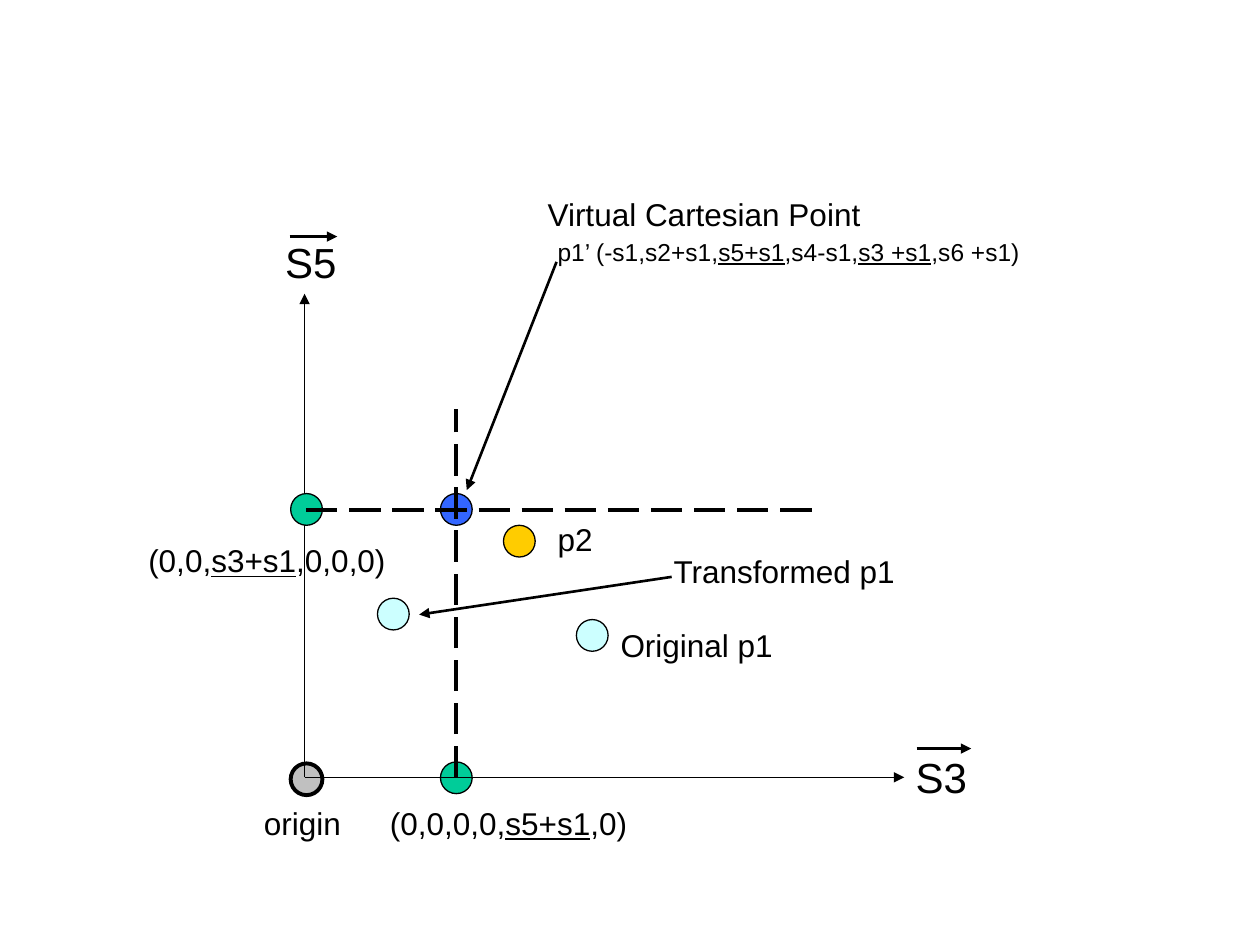
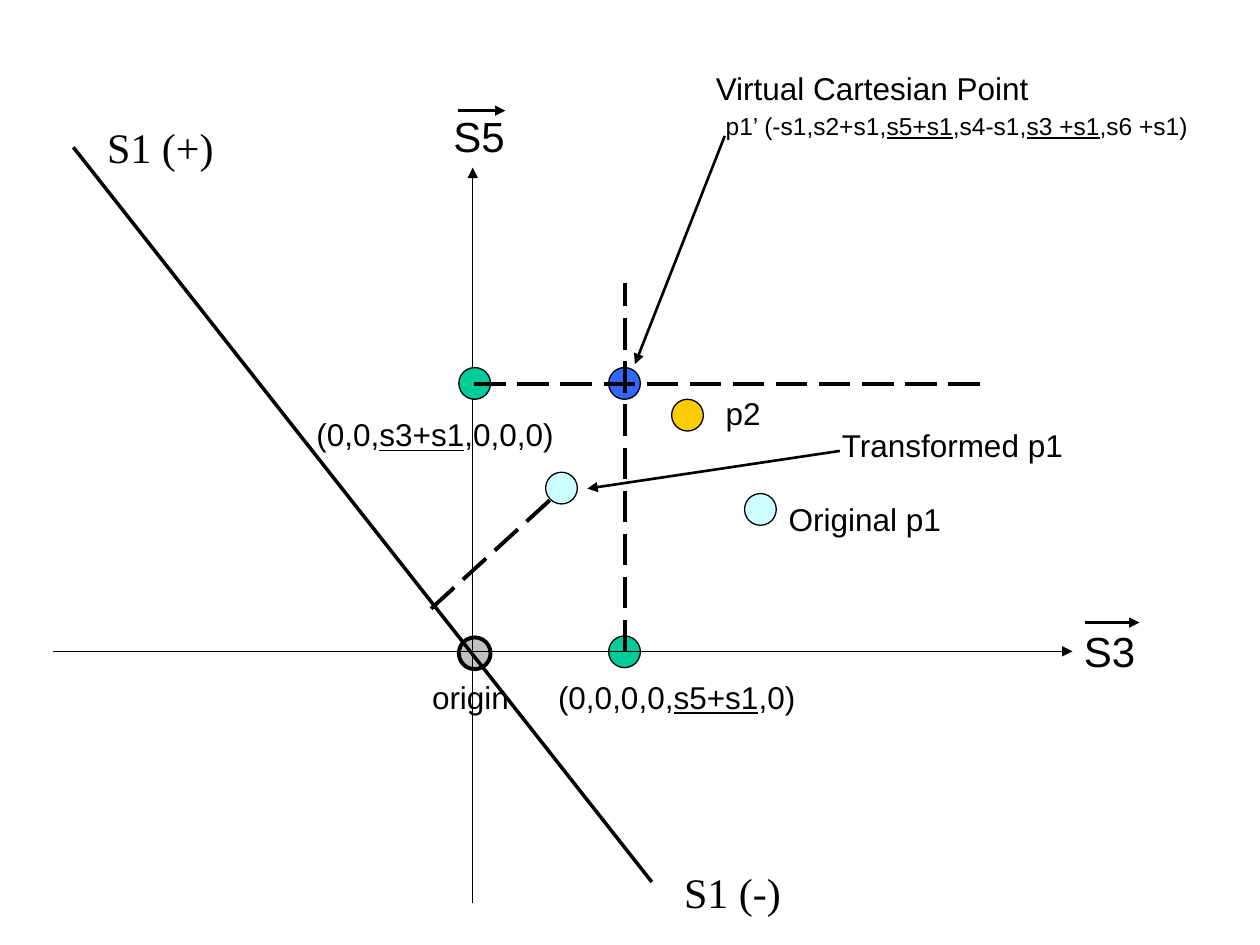
import dataclasses
import lxml.etree
import pptx
import pptx.dml.color
import pptx.enum.dml
import pptx.enum.shapes
import pptx.enum.text
import pptx.oxml.ns
import pptx.util

Cm = pptx.util.Cm
Pt = pptx.util.Pt
qn = pptx.oxml.ns.qn
RGB = pptx.dml.color.RGBColor

BLACK = RGB(0x00, 0x00, 0x00)
GREEN = RGB(0x00, 0xCC, 0x99)
BLUE = RGB(0x33, 0x66, 0xFF)
GOLD = RGB(0xFF, 0xCC, 0x00)
GRAY = RGB(0xC0, 0xC0, 0xC0)
PALE = RGB(0xCC, 0xFF, 0xFF)

SANS = "Arial"
SERIF = "Times New Roman"
DOT = 0.64
FOOT = 3.06
LEVEL = -5.4
HEIGHT = {14: 0.86, 18: 1.02, 24: 1.27}


@dataclasses.dataclass
class Box:
    left: float
    base: float
    width: float = 12.09
    height: float = 9.75
    back: float = 0
    down: float = 0

    def place(self, x, y):
        return Cm(self.left + x), Cm(self.base + y)


def add_dot(slide, box, x, y, fill, weight=0.75):
    dot = slide.shapes.add_shape(
        pptx.enum.shapes.MSO_SHAPE.OVAL,
        *box.place(x - DOT / 2, y - DOT / 2), Cm(DOT), Cm(DOT))
    dot.shadow.inherit = False
    dot.fill.solid()
    dot.fill.fore_color.rgb = fill
    dot.line.color.rgb = BLACK
    dot.line.width = Pt(weight)


def add_line(slide, box, start, end, weight, arrow=False, dash=False):
    line = slide.shapes.add_connector(
        pptx.enum.shapes.MSO_CONNECTOR.STRAIGHT,
        *box.place(*start), *box.place(*end))
    line.line.color.rgb = BLACK
    line.line.width = Pt(weight)
    if dash:
        line.line.dash_style = pptx.enum.dml.MSO_LINE.LONG_DASH
    props = line._element.spPr
    if arrow:
        lxml.etree.SubElement(props.find(qn("a:ln")), qn("a:tailEnd"), type="triangle")
    lxml.etree.SubElement(props, qn("a:effectLst"))


def add_label(slide, box, x, y, width, text, size=18, font=SANS):
    label = slide.shapes.add_textbox(*box.place(x, y), Cm(width), Cm(HEIGHT[size]))
    frame = label.text_frame
    frame.word_wrap = True
    frame.auto_size = pptx.enum.text.MSO_AUTO_SIZE.SHAPE_TO_FIT_TEXT
    para = frame.paragraphs[0]
    para.space_before = Pt(size * 0.625)
    for rank, part in enumerate(text.split("_")):
        run = para.add_run()
        run.text = part
        run.font.name = font
        run.font.size = Pt(size)
        run.font.color.rgb = BLACK
        run.font.underline = rank % 2 == 1


def draw_axes(slide, box):
    add_line(slide, box, (-box.back, 0), (box.width, 0), 0.75, arrow=True)
    add_line(slide, box, (0, box.down), (0, -box.height), 0.75, arrow=True)
    add_label(slide, box, 12.07, -0.64, 1.9, "S3", 24)
    add_line(slide, box, (12.34, -0.58), (13.44, -0.58), 1.5, arrow=True)
    add_label(slide, box, -0.64, -11.02, 1.69, "S5", 24)
    add_line(slide, box, (-0.3, -10.9), (0.66, -10.9), 1.5, arrow=True)


def draw_plot(slide, box):
    add_dot(slide, box, FOOT, 0.01, GREEN)
    add_dot(slide, box, FOOT, LEVEL, BLUE)
    add_dot(slide, box, 4.33, -4.76, GOLD)
    add_dot(slide, box, 0.04, 0.04, GRAY, 2.25)
    draw_axes(slide, box)
    add_dot(slide, box, 1.79, -3.29, PALE)
    add_dot(slide, box, 0.04, LEVEL, GREEN)
    add_dot(slide, box, 5.8, -2.86, PALE)
    add_line(slide, box, (0.03, LEVEL + 0.02), (10.41, LEVEL + 0.02), 2.25, dash=True)
    add_line(slide, box, (FOOT, 0), (FOOT, -7.42), 2.25, dash=True)
    add_line(slide, box, (5.08, -10.39), (3.27, -5.79), 1.5, arrow=True)
    add_line(slide, box, (7.4, -4.04), (2.31, -3.28), 1.5, arrow=True)
    for x, y, width, text in (
        (4.85, -5.31, 1.48, "p2"),
        (-3.4, -4.88, 5.29, "(0,0,_s3+s1_,0,0,0)"),
        (1.47, 0.41, 6.35, "(0,0,0,0,_s5+s1_,0)"),
        (4.65, -11.86, 8.69, "Virtual Cartesian Point"),
        (7.19, -4.67, 5.5, "Transformed p1"),
        (-1.07, 0.41, 2.11, "origin"),
        (6.12, -3.18, 5.5, "Original p1"),
    ):
        add_label(slide, box, x, y, width, text)
    add_label(slide, box, 4.85, -11.02, 9.96,
              "p1’ (-s1,s2+s1,_s5+s1_,s4-s1,_s3 +s1_,s6 +s1)", 14)


def draw_slant(slide, box):
    add_line(slide, box, (3.61, 4.65), (-8.05, -10.16), 2)
    add_label(slide, box, -7.62, -10.8, 4.23, "S1 (+)", 24, SERIF)
    add_label(slide, box, 4.01, 4.22, 4.23, "S1 (-)", 24, SERIF)
    add_line(slide, box, (-0.84, -0.86), (1.7, -3.18), 2.25, dash=True)


def main():
    deck = pptx.Presentation()
    deck.slide_width = Cm(25.4)
    deck.slide_height = Cm(19.05)
    blank = deck.slide_layouts[6]
    draw_plot(deck.slides.add_slide(blank), Box(6.14, 15.67))
    slide = deck.slides.add_slide(blank)
    box = Box(9.53, 13.13, back=8.46, down=5.08)
    draw_plot(slide, box)
    draw_slant(slide, box)
    deck.save("out.pptx")


if __name__ == "__main__":
    main()
